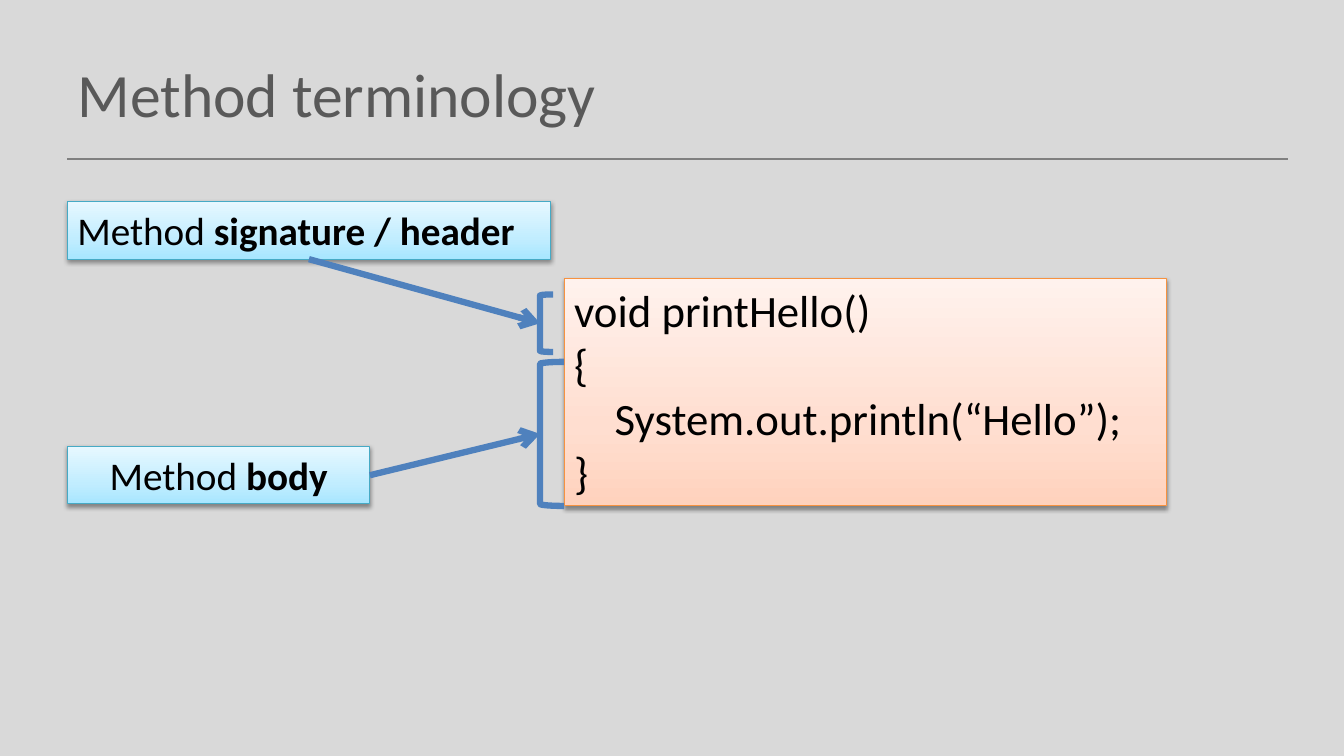
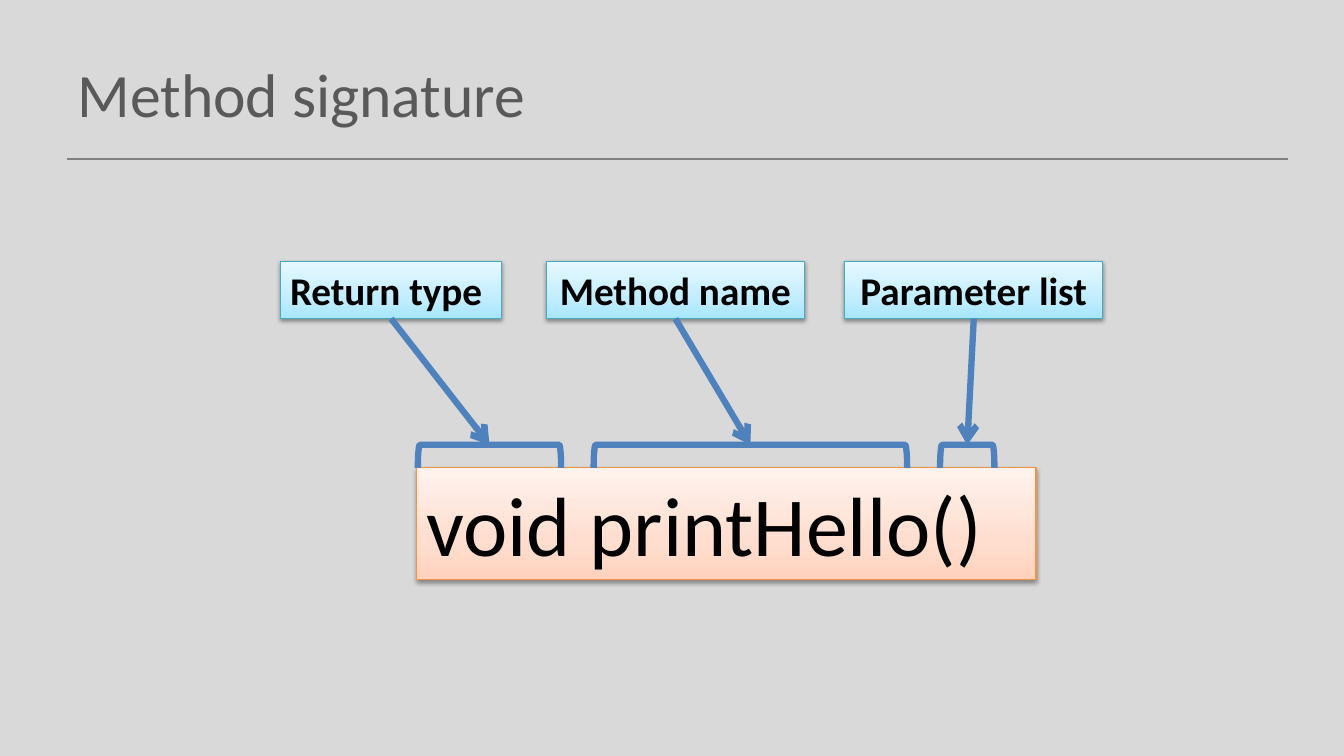
from dataclasses import dataclass

from copy import deepcopy
from lxml.etree import SubElement
from pptx import Presentation
from pptx.dml.color import RGBColor as Rgb
from pptx.enum.shapes import MSO_CONNECTOR as Link, MSO_SHAPE as Kind
from pptx.enum.text import MSO_ANCHOR as Anchor, MSO_AUTO_SIZE as Fit, PP_ALIGN as Align
from pptx.oxml.ns import qn
from pptx.util import Cm, Pt


@dataclass(frozen=True)
class Theme:
    font: str = "Calibri"
    back: str = "D9D9D9"
    rule: str = "808080"
    title: str = "595959"
    ink: str = "000000"
    mark: str = "4F81BD"
    code: tuple = ("F69240", "FFD2BD", "FFDED0", "FFF2ED")
    label: tuple = ("46AAC5", "A7E6FF", "C1EDFF", "E7F8FF")
    stops: tuple = (0, 0.35, 1)
    head_size: int = 44
    code_size: int = 32
    big_size: int = 60
    label_size: int = 28
    mark_width: float = 4.5
    edge_width: float = 0.75


MARGIN = 1.7
LABEL_HIGH = 1.45


def rgb(code):
    return Rgb.from_string(code)


def put(frame, text, *, font, size, color, align=Align.LEFT, anchor=Anchor.TOP):
    frame.word_wrap = True
    frame.vertical_anchor = anchor
    for row, line in enumerate(text.split("\n")):
        para = frame.add_paragraph() if row else frame.paragraphs[0]
        para.alignment = align
        for turn, part in enumerate(line.split("**")):
            if part:
                run = para.add_run()
                run.text = part
                run.font.name = font
                run.font.size = Pt(size)
                run.font.bold = turn % 2 == 1
                run.font.color.rgb = rgb(color)


class Deck:
    def __init__(self, theme):
        self.theme = theme
        self.show = Presentation()
        self.show.slide_width = Cm(33.87)
        self.show.slide_height = Cm(19.05)
        self.slide = None
        self.plan = self.show.slide_layouts.get_by_name("Title Only")
        head = self.plan.placeholders[0]
        head.left, head.top = Cm(MARGIN), Cm(0.76)
        head.width, head.height = Cm(30.48), Cm(3.18)
        fill = self.show.slide_master.background.fill
        fill.solid()
        fill.fore_color.rgb = rgb(theme.back)

    def open(self, title):
        self.slide = self.show.slides.add_slide(self.plan)
        if len(self.show.slides) == 1:
            self.rule()
        put(self.slide.shapes.title.text_frame, title, font=self.theme.font,
            size=self.theme.head_size, color=self.theme.title, anchor=Anchor.MIDDLE)

    def rule(self):
        rule = self.line((MARGIN, 4.01), (32.46, 4.01), self.theme.rule, 1).element
        next(rule.iter(qn("p:cNvPr"))).set("id", "20")
        self.show.slide_master.shapes.element.append(rule)

    def line(self, start, end, color, width):
        ends = [Cm(n) for n in (*start, *end)]
        line = self.slide.shapes.add_connector(Link.STRAIGHT, *ends)
        line.line.color.rgb = rgb(color)
        line.line.width = Pt(width)
        SubElement(line.element.spPr, qn("a:effectLst"))
        return line

    def arrow(self, box, site, end):
        line = self.line((0, 0), end, self.theme.mark, self.theme.mark_width)
        line.begin_connect(box, site)
        SubElement(line.element.spPr.find(qn("a:ln")), qn("a:tailEnd"), type="arrow")

    def shape(self, kind, left, top, wide, high, color, width):
        shape = self.slide.shapes.add_shape(kind, Cm(left), Cm(top), Cm(wide), Cm(high))
        shape.shadow.inherit = False
        shape.line.color.rgb = rgb(color)
        shape.line.width = Pt(width)
        return shape

    def box(self, text, left, top, wide, high, tones, size, align=Align.LEFT):
        edge, *fills = tones
        box = self.shape(Kind.RECTANGLE, left, top, wide, high, edge, self.theme.edge_width)
        box.fill.gradient()
        box.fill.gradient_angle = 90
        stops = next(box.element.iter(qn("a:gsLst")))
        stops.insert(1, deepcopy(stops[0]))
        for stop, place, tone in zip(box.fill.gradient_stops, self.theme.stops, fills):
            stop.position = place
            stop.color.rgb = rgb(tone)
        shade = SubElement(box.element.spPr.find(qn("a:effectLst")), qn("a:outerShdw"),
                           blurRad="40000", dist="20000", dir="5400000", rotWithShape="0")
        tint = SubElement(shade, qn("a:srgbClr"), val=self.theme.ink)
        SubElement(tint, qn("a:alpha"), val="38000")
        put(box.text_frame, text, font=self.theme.font, size=size,
            color=self.theme.ink, align=align)
        box.text_frame.auto_size = Fit.SHAPE_TO_FIT_TEXT
        return box

    def code(self, text, left, top, wide, high, size):
        return self.box(text, left, top, wide, high, self.theme.code, size)

    def label(self, text, left, top, wide, align=Align.CENTER):
        return self.box(text, left, top, wide, LABEL_HIGH, self.theme.label,
                        self.theme.label_size, align)

    def brace(self, left, top, wide, high):
        brace = self.shape(Kind.LEFT_BRACKET, left, top, wide, high,
                           self.theme.mark, self.theme.mark_width)
        brace.fill.background()
        return brace

    def side_brace(self, left, top, wide, high):
        self.brace(left, top, wide, high)
        return left, top + high / 2

    def top_brace(self, left, top, wide, high):
        shift = (wide - high) / 2
        self.brace(left + shift, top - shift, high, wide).rotation = 90
        return left + wide / 2, top


def draw_terms(deck):
    deck.open("Method terminology")
    deck.code("void printHello()\n{\n    System.out.println(“Hello”);\n}",
              14.22, 7.01, 15.19, 5.74, deck.theme.code_size)
    header = deck.label("Method **signature / header**", MARGIN, 5.08, 12.17, Align.LEFT)
    body = deck.label("Method **body**", MARGIN, 11.25, 7.62)
    deck.arrow(header, 2, deck.side_brace(13.61, 7.42, 0.33, 1.45))
    deck.arrow(body, 3, deck.side_brace(13.61, 9.12, 0.61, 3.63))


def draw_parts(deck):
    deck.open("Method signature")
    deck.code("void printHello()", 10.49, 11.79, 15.62, 2.82, deck.theme.big_size)
    parts = (
        ("**Return type**", 7.06, 5.59, Align.LEFT, 10.53, 3.61),
        ("**Method name**", 13.77, 6.5, Align.CENTER, 14.96, 7.9),
        ("**Parameter list**", 21.29, 6.5, Align.CENTER, 23.69, 1.37),
    )
    for text, left, wide, align, start, span in parts:
        label = deck.label(text, left, 6.58, wide, align)
        deck.arrow(label, 2, deck.top_brace(start, 11.21, span, 0.58))


def main():
    deck = Deck(Theme())
    draw_terms(deck)
    draw_parts(deck)
    deck.show.save("out.pptx")


if __name__ == "__main__":
    main()
